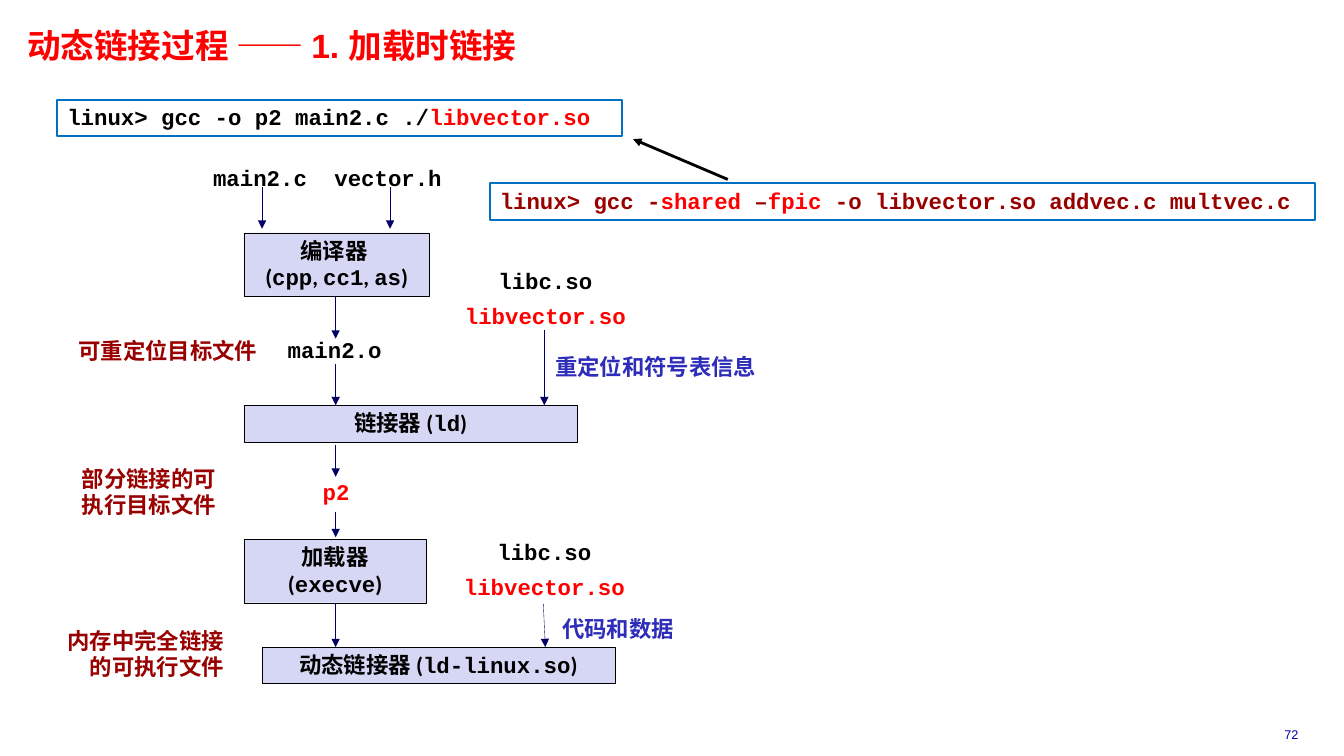
"""Builds the slide on load-time dynamic linking, laid out on a grid of tenth-inch cells."""
from dataclasses import dataclass
from typing import NamedTuple, Optional

import lxml.etree
import pptx
import pptx.dml.color
import pptx.enum.shapes
import pptx.enum.text
import pptx.oxml.ns
import pptx.util

ALIGN = pptx.enum.text.PP_ALIGN
ANCHOR = pptx.enum.text.MSO_ANCHOR
CELL = 0.1
SPINE = 33.3
BOX_LEFT = 24.2


@dataclass(frozen=True)
class Theme:
    sans: str = "Calibri"
    mono: str = "Courier New"
    head: str = "Arial"
    red: str = "FF0000"
    maroon: str = "990000"
    blue: str = "2D2DB9"
    navy: str = "000066"
    number: str = "000099"
    black: str = "000000"
    lavender: str = "D6D6F5"
    frame: str = "0070C0"
    title_size: float = 24
    body_size: float = 16
    number_size: float = 9
    hairline: float = 0.25
    frame_line: float = 1.5
    pointer_line: float = 2


T = Theme()


class Piece(NamedTuple):
    text: str
    font: str = T.sans
    color: str = T.black


@dataclass(frozen=True)
class Block:
    col: float
    row: float
    cols: float
    rows: float
    lines: list[list[Piece]]
    align: ALIGN = ALIGN.CENTER
    wrap: bool = True
    spacing: float = 0.98
    size: float = T.body_size
    bold: bool = True
    anchor: ANCHOR = ANCHOR.MIDDLE
    inset: tuple[float, float] = (1, 0.5)
    fill: Optional[str] = None
    line: Optional[str] = None
    line_width: float = T.hairline


@dataclass(frozen=True)
class Arrow:
    col: float
    row: float
    end_col: float
    end_row: float
    color: str = T.navy
    width: float = T.hairline


def cells(n: float) -> int:
    return pptx.util.Inches(n * CELL)


def rgb(color: str) -> pptx.dml.color.RGBColor:
    return pptx.dml.color.RGBColor.from_string(color)


def mono(text: str, color: str = T.black) -> Piece:
    return Piece(text, T.mono, color)


def stage(row: float, cols: float, rows: float, lines: list[list[Piece]],
          col: float = BOX_LEFT) -> Block:
    return Block(col, row, cols, rows, lines, fill=T.lavender, line=T.black)


def file_name(col: float, row: float, cols: float, *names: Piece) -> Block:
    return Block(col, row, cols, 3.6 * len(names), [[n] for n in names],
                 wrap=False, spacing=0.94)


def note(col: float, row: float, cols: float, rows: float, text: str) -> Block:
    return Block(col, row, cols, rows, [[Piece(text, color=T.maroon)]], ALIGN.RIGHT)


def caption(col: float, row: float, cols: float, text: str) -> Block:
    return Block(col, row, cols, 3.7, [[Piece(text, color=T.blue)]], ALIGN.LEFT)


def command(col: float, row: float, cols: float, *pieces: Piece) -> Block:
    return Block(col, row, cols, 3.6, [list(pieces)], ALIGN.LEFT, spacing=0.94,
                 line=T.frame, line_width=T.frame_line)


def down(col: float, row: float, end_row: float) -> Arrow:
    return Arrow(col, row, col, end_row)


LIBRARIES = (mono("libc.so"), mono("libvector.so", T.red))

BLOCKS = [
    Block(2, 2.7, 77.6, 4.7, [[Piece("动态链接过程 —— 1. 加载时链接", T.head, T.red)]],
          ALIGN.LEFT, spacing=0.87, size=T.title_size, anchor=ANCHOR.TOP,
          inset=(0.7, 0.3)),
    Block(123.4, 71.6, 9.4, 2.5, [[Piece("72", T.head, T.number)]], spacing=1,
          size=T.number_size, bold=False),
    command(5.7, 9.9, 56, mono("linux> gcc -o p2 main2.c ./"),
            mono("libvector.so", T.red)),
    command(48.6, 18.2, 81.9, mono("linux> gcc -", T.maroon), mono("shared", T.red),
            mono(" –", T.maroon), mono("fpic", T.red),
            mono(" -o libvector.so addvec.c multvec.c", T.maroon)),
    stage(23.1, 18.4, 6.3, [
        [Piece("编译器 ")],
        [Piece("("), mono("cpp"), Piece(", "), mono("cc1"), Piece(", "), mono("as"),
         Piece(")")]]),
    stage(40.2, 33.1, 3.7, [[Piece("链接器 ("), mono("ld"), Piece(")")]]),
    stage(53.5, 18.1, 6.3, [[Piece("加载器 ("), mono("execve"), Piece(")")]]),
    stage(64.2, 35, 3.6, [[Piece("动态链接器 ("), mono("ld-linux.so"), Piece(")")]],
          col=26),
    file_name(20.1, 16, 11.4, mono("main2.c")),
    file_name(32.1, 16, 12.8, mono("vector.h")),
    file_name(27.5, 33, 11.4, mono("main2.o")),
    file_name(31, 47.1, 4.7, mono("p2", T.red)),
    file_name(45, 26.1, 18.2, *LIBRARIES),
    file_name(44.9, 53, 18.2, *LIBRARIES),
    note(6.3, 33, 20.2, 3.7, "可重定位目标文件"),
    note(5.7, 45.7, 16.7, 6.3, "部分链接的可执行目标文件"),
    note(4, 61.8, 19.2, 6.3, "内存中完全链接的可执行文件"),
    caption(54.1, 34.6, 23.7, "重定位和符号表信息"),
    caption(54.8, 60.6, 14.3, "代码和数据"),
]

ARROWS = [
    down(26, 18.6, 22.7),
    down(38.7, 18.6, 22.7),
    down(SPINE, 29.4, 33.6),
    down(SPINE, 36.1, 40.2),
    down(SPINE, 44.1, 47.3),
    down(SPINE, 50.8, 53.3),
    down(SPINE, 59.8, 64.2),
    down(54, 32.7, 40.2),
    Arrow(53.9, 59.9, 54.1, 64.2),
    Arrow(72.2, 17.8, 62.8, 13.8, T.black, T.pointer_line),
]


def draw_block(s, b: Block) -> None:
    box = [cells(n) for n in (b.col, b.row, b.cols, b.rows)]
    if b.line:
        sp = s.shapes.add_shape(pptx.enum.shapes.MSO_SHAPE.RECTANGLE, *box)
        sp.shadow.inherit = False
        sp.line.color.rgb = rgb(b.line)
        sp.line.width = pptx.util.Pt(b.line_width)
        if b.fill:
            sp.fill.solid()
            sp.fill.fore_color.rgb = rgb(b.fill)
        else:
            sp.fill.background()
    else:
        sp = s.shapes.add_textbox(*box)
    tf = sp.text_frame
    tf.word_wrap = b.wrap
    tf.vertical_anchor = b.anchor
    tf.margin_left = tf.margin_right = cells(b.inset[0])
    tf.margin_top = tf.margin_bottom = cells(b.inset[1])
    for i, line in enumerate(b.lines):
        p = tf.add_paragraph() if i else tf.paragraphs[0]
        p.alignment = b.align
        p.line_spacing = b.spacing
        if i and not b.wrap:
            p.space_before = pptx.util.Pt(7)
        for piece in line:
            r = p.add_run()
            r.text = piece.text
            r.font.name = piece.font
            r.font.size = pptx.util.Pt(b.size)
            r.font.bold = b.bold
            r.font.color.rgb = rgb(piece.color)


def draw_arrow(s, a: Arrow) -> None:
    ends = [cells(n) for n in (a.col, a.row, a.end_col, a.end_row)]
    cx = s.shapes.add_connector(pptx.enum.shapes.MSO_CONNECTOR.STRAIGHT, *ends)
    cx.line.color.rgb = rgb(a.color)
    cx.line.width = pptx.util.Pt(a.width)
    qn = pptx.oxml.ns.qn
    ln = cx.line._get_or_add_ln()
    lxml.etree.SubElement(ln, qn("a:tailEnd")).set("type", "triangle")
    lxml.etree.SubElement(ln.getparent(), qn("a:effectLst"))


def main() -> None:
    prs = pptx.Presentation()
    prs.slide_width, prs.slide_height = cells(133.33), cells(75)
    s = prs.slides.add_slide(prs.slide_layouts[6])
    for b in BLOCKS:
        draw_block(s, b)
    for a in ARROWS:
        draw_arrow(s, a)
    prs.save("out.pptx")


if __name__ == "__main__":
    main()
